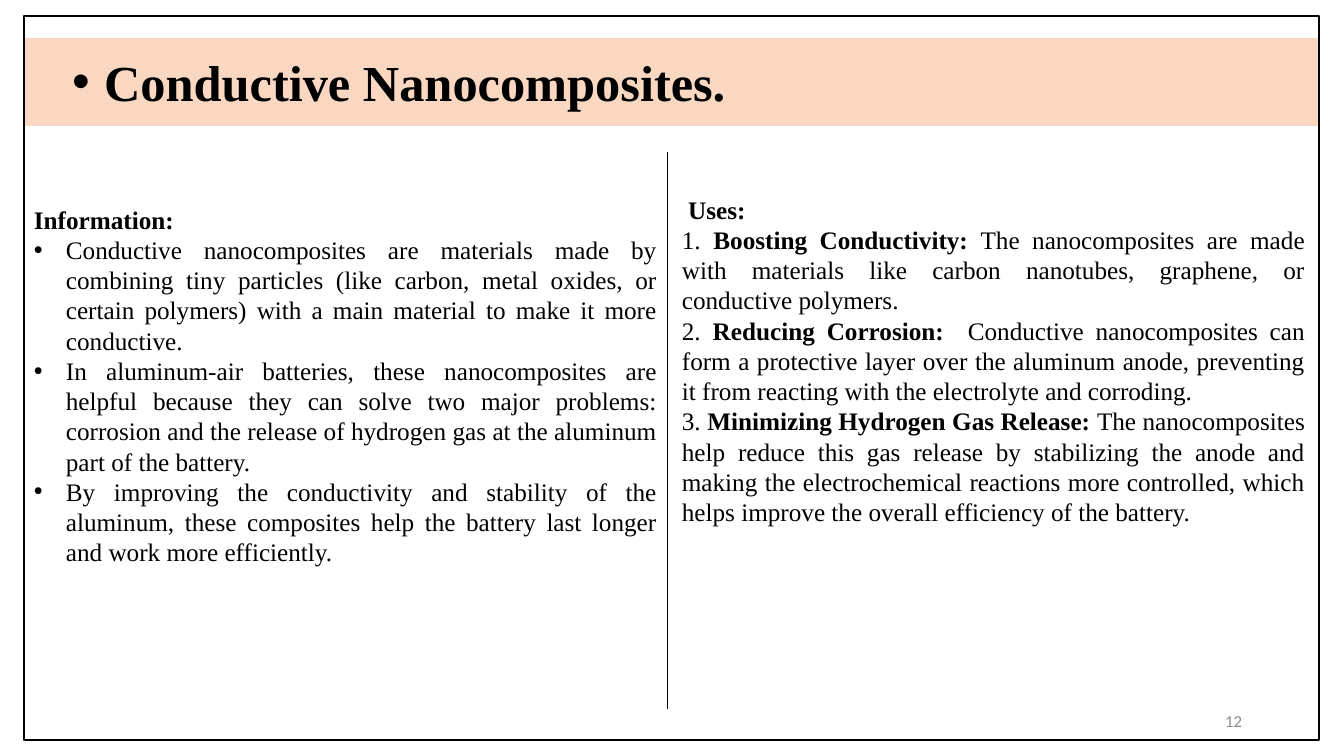
"""Build the Conductive Nanocomposites slide: title band and two text columns."""
from dataclasses import dataclass

from lxml.etree import SubElement
from pptx import Presentation
from pptx.dml.color import RGBColor
from pptx.enum.shapes import MSO_CONNECTOR as Connector, MSO_SHAPE as Preset
from pptx.enum.text import MSO_ANCHOR as Anchor, MSO_AUTO_SIZE as Fit, PP_ALIGN as Align
from pptx.oxml.ns import qn
from pptx.util import Emu, Pt

EMU_PER_PX = 914400 / 100.8


@dataclass(frozen=True)
class Theme:
    """Colours, fonts and type sizes."""
    ink: str = "000000"
    band: str = "F4B183"
    muted: str = "8C8C8C"
    serif: str = "Times New Roman"
    sans: str = "Calibri"
    title: int = 36
    body: int = 18
    number: int = 12
    band_alpha: int = 50000


@dataclass(frozen=True)
class Box:
    """Left, top, width and height in px."""
    left: int
    top: int
    width: int
    height: int


@dataclass(frozen=True)
class Run:
    """A piece of text of one weight."""
    text: str
    bold: bool = False


@dataclass(frozen=True)
class Para:
    """A paragraph of runs, with or without a bullet."""
    runs: tuple[Run, ...]
    bullet: bool = False


@dataclass(frozen=True)
class Column:
    """A justified column of paragraphs."""
    box: Box
    inset_top: int
    paras: tuple[Para, ...]


THEME = Theme()
BULLET_INDENT = 32
SLIDE = Box(0, 0, 1344, 756)
FRAME = Box(24, 16, 1295, 724)
BAND = Box(24, 38, 1295, 88)
TITLE = Box(62, 46, 679, 72)
DIVIDER = Box(667, 152, 0, 557)
NUMBER = Box(950, 701, 302, 40)


def point(text: str) -> Para:
    """Return a bulleted paragraph."""
    return Para((Run(text),), bullet=True)


def use(number: int, name: str, text: str) -> Para:
    """Return a numbered paragraph with a bold lead."""
    return Para((Run(f"{number}. "), Run(name, True), Run(text)))


COLUMNS = (
    Column(Box(24, 199, 643, 468), 5, (
        Para((Run("Information:", True),)),
        point("Conductive nanocomposites are materials made by combining tiny particles (like carbon, "
              "metal oxides, or certain polymers) with a main material to make it more conductive."),
        point("In aluminum-air batteries, these nanocomposites are helpful because they can solve two major "
              "problems: corrosion and the release of hydrogen gas at the aluminum part of the battery."),
        point("By improving the conductivity and stability of the aluminum, these composites help the "
              "battery last longer and work more efficiently."),
    )),
    Column(Box(672, 159, 643, 437), 35, (
        Para((Run(" "), Run("Uses:", True))),
        use(1, "Boosting Conductivity: ",
            "The nanocomposites are made with materials like carbon nanotubes, graphene, or "
            "conductive polymers."),
        use(2, "Reducing Corrosion:  ",
            "Conductive nanocomposites can form a protective layer over the aluminum anode, "
            "preventing it from reacting with the electrolyte and corroding."),
        use(3, "Minimizing Hydrogen Gas Release: ",
            "The nanocomposites help reduce this gas release by stabilizing the anode and making the "
            "electrochemical reactions more controlled, which helps improve the overall efficiency "
            "of the battery."),
    )),
)


def px(n: int) -> Emu:
    """Turn px into EMU."""
    return Emu(round(n * EMU_PER_PX))


def edges(box: Box) -> tuple[Emu, ...]:
    """Return the box in EMU."""
    return px(box.left), px(box.top), px(box.width), px(box.height)


def apply(target, **formats) -> None:
    """Set each named attribute on the target."""
    for name, value in formats.items():
        setattr(target, name, value)


def add_bullet(p) -> None:
    """Give a paragraph a hanging round bullet."""
    pPr = p._p.get_or_add_pPr()
    pPr.set("marL", str(px(BULLET_INDENT)))
    pPr.set("indent", str(-px(BULLET_INDENT)))
    SubElement(pPr, qn("a:buFont")).set("typeface", "Arial")
    SubElement(pPr, qn("a:buChar")).set("char", "•")


def write(tf, paras: tuple[Para, ...], align: Align, size: int,
          face: str = THEME.serif, color: str = THEME.ink) -> None:
    """Fill a text frame with formatted paragraphs."""
    for i, para in enumerate(paras):
        p = tf.paragraphs[0] if i == 0 else tf.add_paragraph()
        p.alignment = align
        if para.bullet:
            add_bullet(p)
        for run in para.runs:
            r = p.add_run()
            r.text = run.text
            apply(r.font, name=face, size=Pt(size), bold=run.bold)
            r.font.color.rgb = RGBColor.from_string(color)


def add_rect(s, box: Box):
    """Add a rectangle without shadow, fill or line."""
    sp = s.shapes.add_shape(Preset.RECTANGLE, *edges(box))
    sp.shadow.inherit = False
    sp.fill.background()
    sp.line.fill.background()
    return sp


def add_title(s) -> None:
    """Format the title placeholder and lay the tinted band behind it."""
    sp = s.shapes.title
    left, top, width, height = edges(TITLE)
    apply(sp, left=left, top=top, width=width, height=height)
    apply(sp.text_frame, word_wrap=False, auto_size=Fit.SHAPE_TO_FIT_TEXT, vertical_anchor=Anchor.TOP)
    heading = Para((Run("Conductive Nanocomposites.", True),), bullet=True)
    write(sp.text_frame, (heading,), Align.LEFT, THEME.title)
    band = add_rect(s, BAND)
    band.fill.solid()
    band.fill.fore_color.rgb = RGBColor.from_string(THEME.band)
    tint = band.element.spPr.find(qn("a:solidFill"))[0]
    SubElement(tint, qn("a:alpha")).set("val", str(THEME.band_alpha))
    sp.element.addprevious(band.element)


def add_lines(s) -> None:
    """Add the slide frame and the divider between the columns."""
    frame = add_rect(s, FRAME)
    x, top, _, height = edges(DIVIDER)
    divider = s.shapes.add_connector(Connector.STRAIGHT, x, top, x, top + height)
    for sp, width in ((frame, 1.5), (divider, 0.5)):
        sp.line.color.rgb = RGBColor.from_string(THEME.ink)
        sp.line.width = Pt(width)
    SubElement(divider.element.spPr, qn("a:effectLst"))


def add_column(s, column: Column) -> None:
    """Add one justified text column."""
    tf = s.shapes.add_textbox(*edges(column.box)).text_frame
    apply(tf, word_wrap=True, auto_size=Fit.SHAPE_TO_FIT_TEXT, margin_top=px(column.inset_top))
    write(tf, column.paras, Align.JUSTIFY, THEME.body)


def add_number(s) -> None:
    """Add the page number."""
    tf = s.shapes.add_textbox(*edges(NUMBER)).text_frame
    apply(tf, word_wrap=True, vertical_anchor=Anchor.MIDDLE)
    write(tf, (Para((Run("12"),)),), Align.RIGHT, THEME.number, THEME.sans, THEME.muted)


def main() -> None:
    """Build and save the slide."""
    prs = Presentation()
    apply(prs, slide_width=px(SLIDE.width), slide_height=px(SLIDE.height))
    s = prs.slides.add_slide(prs.slide_layouts.get_by_name("Title Only"))
    add_title(s)
    add_lines(s)
    for column in COLUMNS:
        add_column(s, column)
    add_number(s)
    prs.save("out.pptx")


if __name__ == "__main__":
    main()
